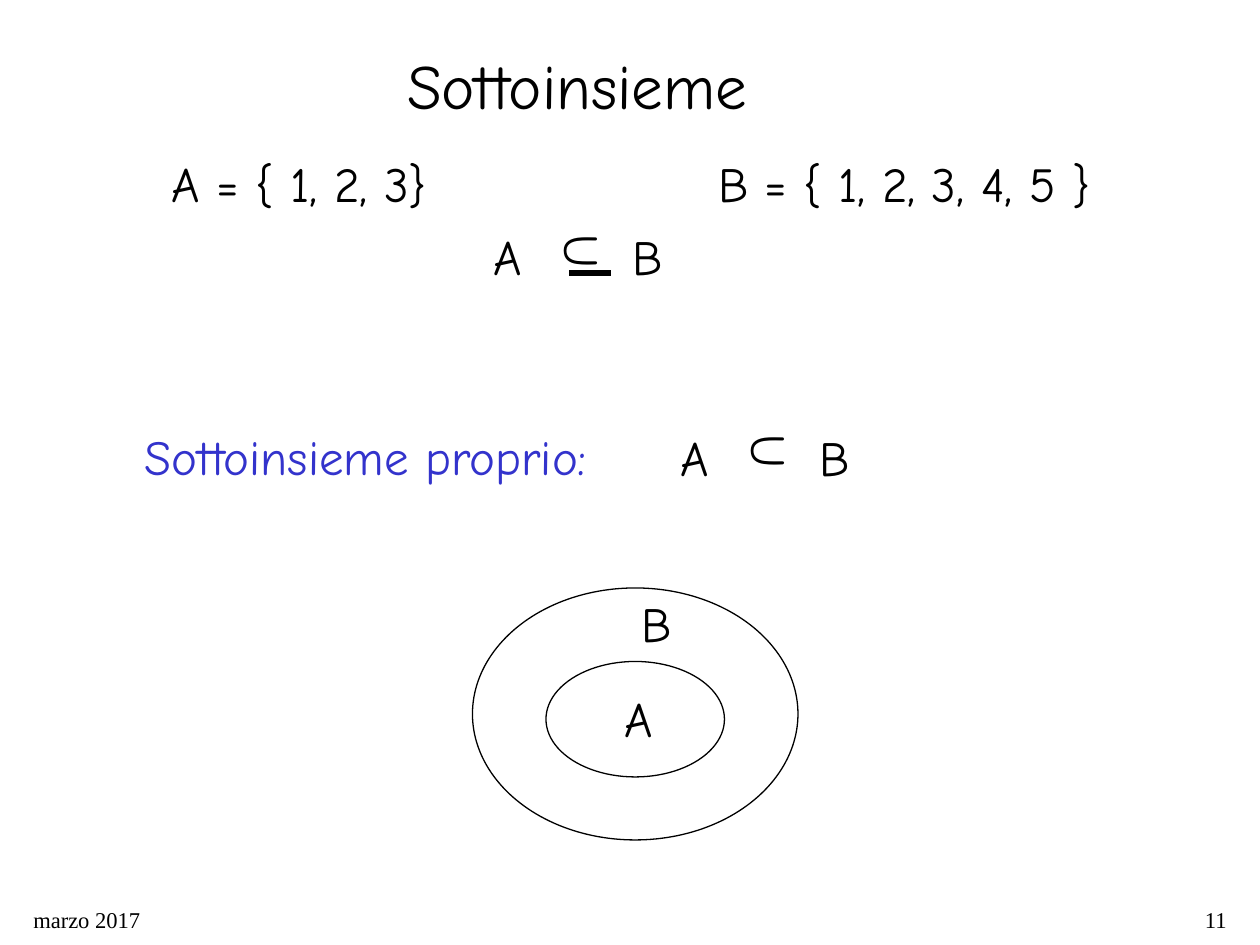
import pptx
import pptx.dml.color
import pptx.enum.shapes
import pptx.enum.text
import pptx.oxml
import pptx.util
from lxml import etree

COLUMNS, ROWS = 120, 90
WIDTH, HEIGHT = pptx.util.Inches(10), pptx.util.Inches(7.5)
BLACK, BLUE = "000000", "3333CC"
HAND, SERIF = "Comic Neue", "Times New Roman"
ALIGN = pptx.enum.text.PP_ALIGN
LINE_ROWS = 6.84

TITLE = ("Sottoinsieme", (37.5, 3.8, 34.9, 8.4))
FOOTERS = [
    ("marzo 2017", 2, ALIGN.LEFT),
    ("11", 93, ALIGN.RIGHT),
]
# text, (column, row, columns wide), colour, tab stop in columns
STATEMENTS = [
    ("A = { 1, 2, 3}\tB = { 1, 2, 3, 4, 5 }", (15.2, 14, 90.1), BLACK, 52),
    ("Sottoinsieme proprio:", (12.6, 40, 44.8), BLUE, None),
]
RELATIONS = [
    {"column": 45.8, "row": 21, "or_equal": True},
    {"column": 63.6, "row": 40.1, "or_equal": False},
]
SETS = [(52, 63, 17, 11), (45, 56, 31, 24)]
SET_LABELS = [("A", (58.3, 65, 5)), ("B", (59.9, 55.9, 5.3))]


def across(columns):
    """Return the length of a number of grid columns."""
    return round(WIDTH * columns / COLUMNS)


def down(rows):
    """Return the length of a number of grid rows."""
    return round(HEIGHT * rows / ROWS)


def place(column, row, columns, rows):
    """Return left, top, width and height of a grid area."""
    return across(column), down(row), across(columns), down(rows)


def rgb(value):
    """Return the colour of a hex string."""
    return pptx.dml.color.RGBColor.from_string(value)


def write(frame, text, size=28, font=HAND, colour=BLACK, align=ALIGN.LEFT, tab=None):
    """Write one unwrapped line into a text frame."""
    frame.word_wrap = False
    frame.auto_size = pptx.enum.text.MSO_AUTO_SIZE.NONE
    paragraph = frame.paragraphs[0]
    paragraph.alignment = align
    paragraph.space_before = pptx.util.Pt(0)
    if tab is not None:
        stops = etree.SubElement(paragraph._p.get_or_add_pPr(), pptx.oxml.ns.qn("a:tabLst"))
        etree.SubElement(stops, pptx.oxml.ns.qn("a:tab"), pos=str(across(tab)), algn="l")
    run = paragraph.add_run()
    run.text = text
    run.font.size = pptx.util.Pt(size)
    run.font.name = font
    run.font.color.rgb = rgb(colour)
    return paragraph


def add_line_of_text(shapes, text, area, **style):
    """Add a one-line text box at (column, row, columns wide)."""
    box = shapes.add_textbox(*place(*area, LINE_ROWS))
    write(box.text_frame, text, **style)
    return box


def add_relation(shapes, column, row, or_equal):
    """Add A and B with a turned U between them, underlined if or_equal."""
    relation = shapes.add_group_shape().shapes
    add_line_of_text(relation, "A\tB", (column, row, 18.8), tab=13.3)
    add_line_of_text(relation, "U", (column + 7, row - 0.5, 5.6)).rotation = 90
    if or_equal:
        left, right, level = across(column + 8.4), across(column + 12.4), down(row + 5)
        bar = relation.add_connector(
            pptx.enum.shapes.MSO_CONNECTOR.STRAIGHT, left, level, right, level)
        bar.line.color.rgb = rgb(BLACK)
        bar.line.width = pptx.util.Pt(3)
        etree.SubElement(bar._element.spPr, pptx.oxml.ns.qn("a:effectLst"))


def add_set(shapes, area):
    """Add the outline of a set."""
    outline = shapes.add_shape(pptx.enum.shapes.MSO_SHAPE.OVAL, *place(*area))
    outline.shadow.inherit = False
    outline.fill.background()
    outline.line.color.rgb = rgb(BLACK)
    outline.line.width = pptx.util.Pt(0.75)


def main():
    """Build the slide and save it."""
    deck = pptx.Presentation()
    deck.slide_width, deck.slide_height = WIDTH, HEIGHT
    slide = deck.slides.add_slide(deck.slide_layouts[5])
    shapes = slide.shapes

    text, area = TITLE
    title = shapes.title
    title.left, title.top, title.width, title.height = place(*area)
    title.text_frame.vertical_anchor = pptx.enum.text.MSO_ANCHOR.MIDDLE
    write(title.text_frame, text, size=36, align=ALIGN.CENTER)

    for text, column, align in FOOTERS:
        footer = shapes.add_textbox(*place(column, 86, 25, 4)).text_frame
        write(footer, text, size=12.9, font=SERIF, align=align).line_spacing = 0.9
        footer.word_wrap = True
    for text, area, colour, tab in STATEMENTS:
        add_line_of_text(shapes, text, area, colour=colour, tab=tab)
    for relation in RELATIONS:
        add_relation(shapes, **relation)
    for area in SETS:
        add_set(shapes, area)
    for text, area in SET_LABELS:
        add_line_of_text(shapes, text, area)

    deck.save("out.pptx")


if __name__ == "__main__":
    main()
